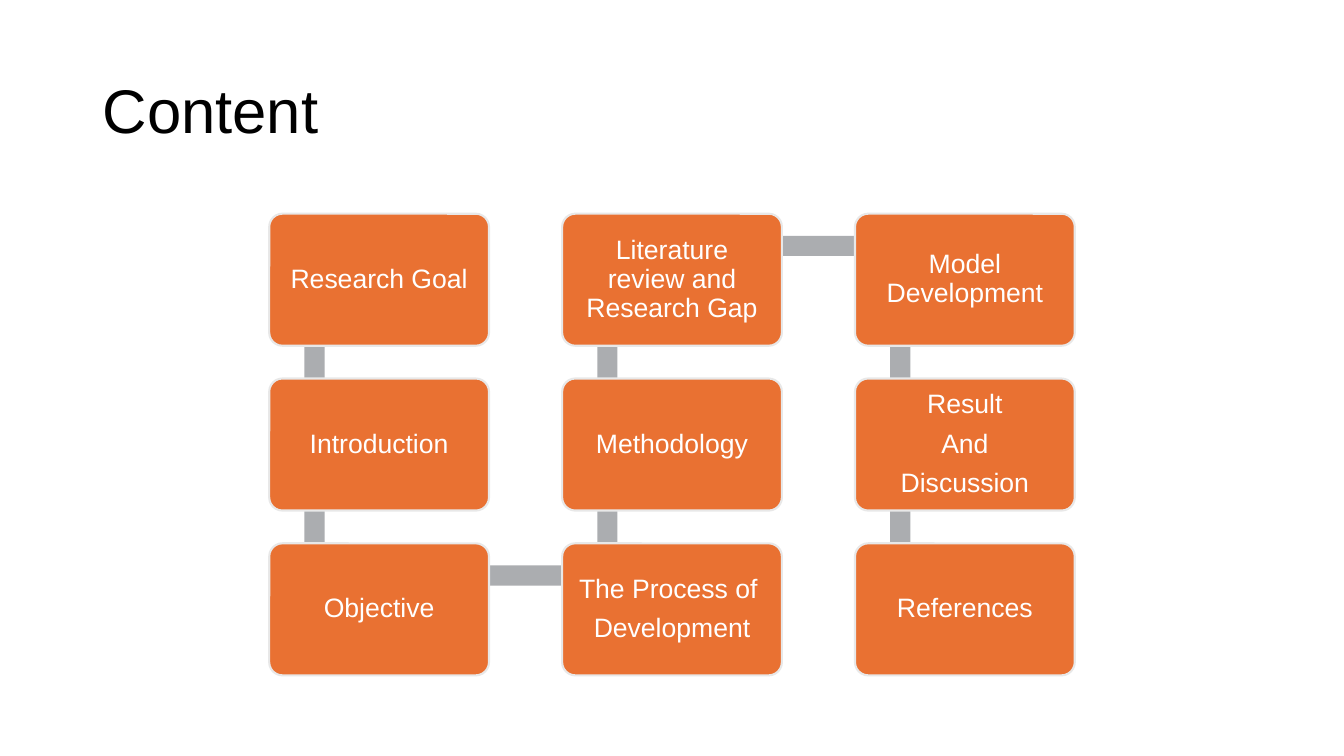
import dataclasses
import itertools

import pptx
import pptx.dml.color
import pptx.enum.shapes
import pptx.enum.text
import pptx.util

Inches = pptx.util.Inches
Pt = pptx.util.Pt
Shape = pptx.enum.shapes.MSO_SHAPE
Align = pptx.enum.text.PP_ALIGN
Anchor = pptx.enum.text.MSO_ANCHOR


@dataclasses.dataclass(frozen=True)
class Theme:
    font: str = "Arial"
    title_size: int = 44
    step_size: int = 19
    title_color: str = "000000"
    step_color: str = "FFFFFF"
    step_fill: str = "E97132"
    step_line: str = "E8E8E8"
    link_fill: str = "ABADB0"


THEME = Theme()

STEPS = [
    (0, 0, ["Research Goal"]),
    (0, 1, ["Introduction"]),
    (0, 2, ["Objective"]),
    (1, 2, ["The Process of ", "Development"]),
    (1, 1, ["Methodology"]),
    (1, 0, ["Literature review and Research Gap"]),
    (2, 0, ["Model\vDevelopment"]),
    (2, 1, ["Result", "And", "Discussion"]),
    (2, 2, ["References"]),
]

FIRST_LEFT, LAST_LEFT = 2.67, 8.48
FIRST_TOP, LAST_TOP = 2.12, 5.39
STEP_WIDTH, STEP_HEIGHT = 2.18, 1.31
LINK_X, LINK_Y, LINK_WIDTH = 0.45, 0.32, 0.2


def rgb(value):
    return pptx.dml.color.RGBColor.from_string(value)


def step_corner(column, row):
    left = FIRST_LEFT + column * (LAST_LEFT - FIRST_LEFT) / 2
    top = FIRST_TOP + row * (LAST_TOP - FIRST_TOP) / 2
    return left, top


def fill_text(frame, lines, size, color, align, space_after=0):
    frame.word_wrap = True
    frame.vertical_anchor = Anchor.MIDDLE
    frame.text = "\n".join(lines)
    for paragraph in frame.paragraphs:
        paragraph.alignment = align
        paragraph.line_spacing = 0.9
        paragraph.space_after = Pt(space_after)
        paragraph.font.name = THEME.font
        paragraph.font.size = Pt(size)
        paragraph.font.color.rgb = rgb(color)


def add_filled(slide, kind, left, top, width, height, fill):
    shape = slide.shapes.add_shape(
        kind, Inches(left), Inches(top), Inches(width), Inches(height))
    shape.shadow.inherit = False
    shape.fill.solid()
    shape.fill.fore_color.rgb = rgb(fill)
    return shape


def add_title(slide, title):
    box = slide.shapes.add_textbox(
        Inches(0.92), Inches(0.4), Inches(11.5), Inches(1.45))
    fill_text(box.text_frame, [title], THEME.title_size, THEME.title_color, Align.LEFT)


def add_link(slide, start, end):
    (x1, y1), (x2, y2) = start, end
    left, top = min(x1, x2) + LINK_X, min(y1, y2) + LINK_Y
    if x1 == x2:
        place = (left - LINK_WIDTH / 2, top, LINK_WIDTH, abs(y2 - y1))
    else:
        place = (left, top - LINK_WIDTH / 2, abs(x2 - x1), LINK_WIDTH)
    link = add_filled(slide, Shape.RECTANGLE, *place, THEME.link_fill)
    link.line.fill.background()


def add_step(slide, corner, lines):
    step = add_filled(slide, Shape.ROUNDED_RECTANGLE, *corner,
                      STEP_WIDTH, STEP_HEIGHT, THEME.step_fill)
    step.adjustments[0] = 0.1
    step.line.color.rgb = rgb(THEME.step_line)
    step.line.width = Pt(1.5)
    frame = step.text_frame
    frame.margin_left = frame.margin_right = Inches(0.08)
    frame.margin_top = frame.margin_bottom = Inches(0.08)
    fill_text(frame, lines, THEME.step_size, THEME.step_color, Align.CENTER, 7.5)


def main():
    deck = pptx.Presentation()
    deck.slide_width, deck.slide_height = Inches(13.33), Inches(7.5)
    slide = deck.slides.add_slide(deck.slide_layouts[6])
    add_title(slide, "Content")
    corners = [step_corner(column, row) for column, row, _ in STEPS]
    for start, end in itertools.pairwise(corners):
        add_link(slide, start, end)
    for corner, (_, _, lines) in zip(corners, STEPS):
        add_step(slide, corner, lines)
    deck.save("out.pptx")


if __name__ == "__main__":
    main()
